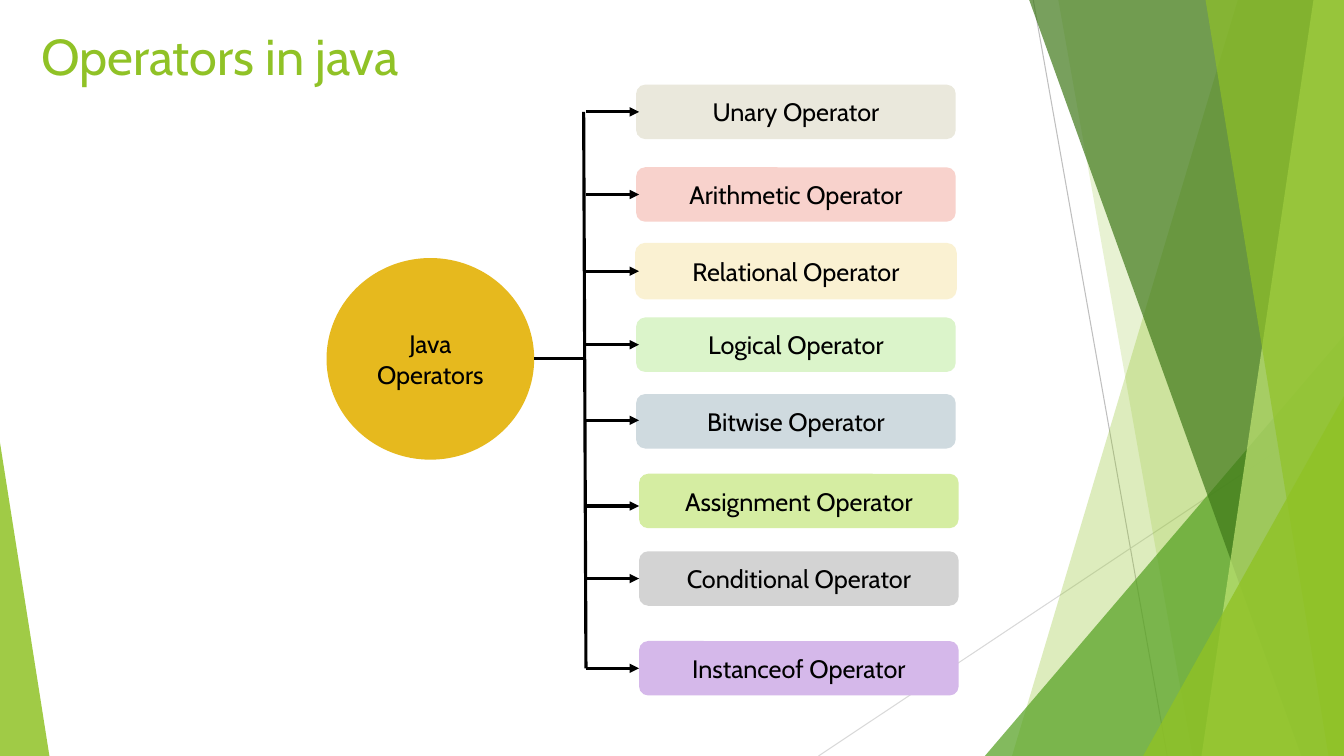
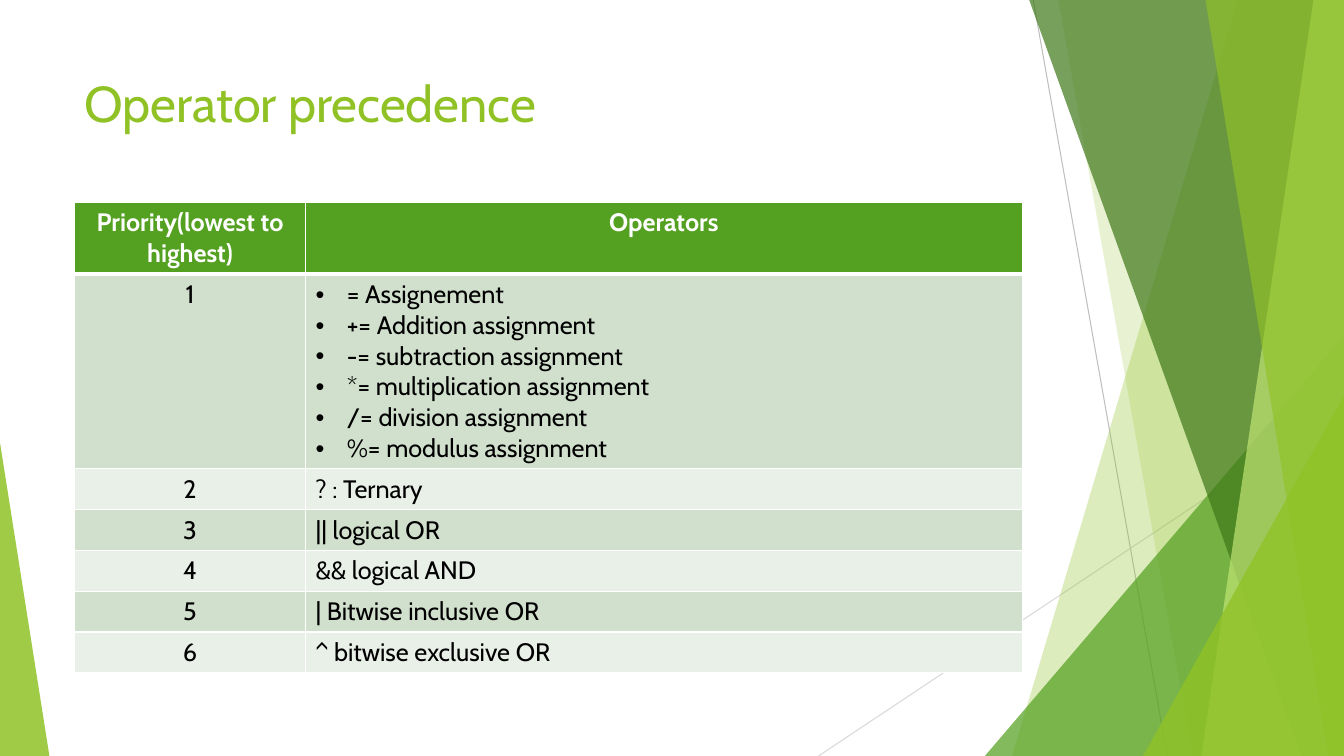
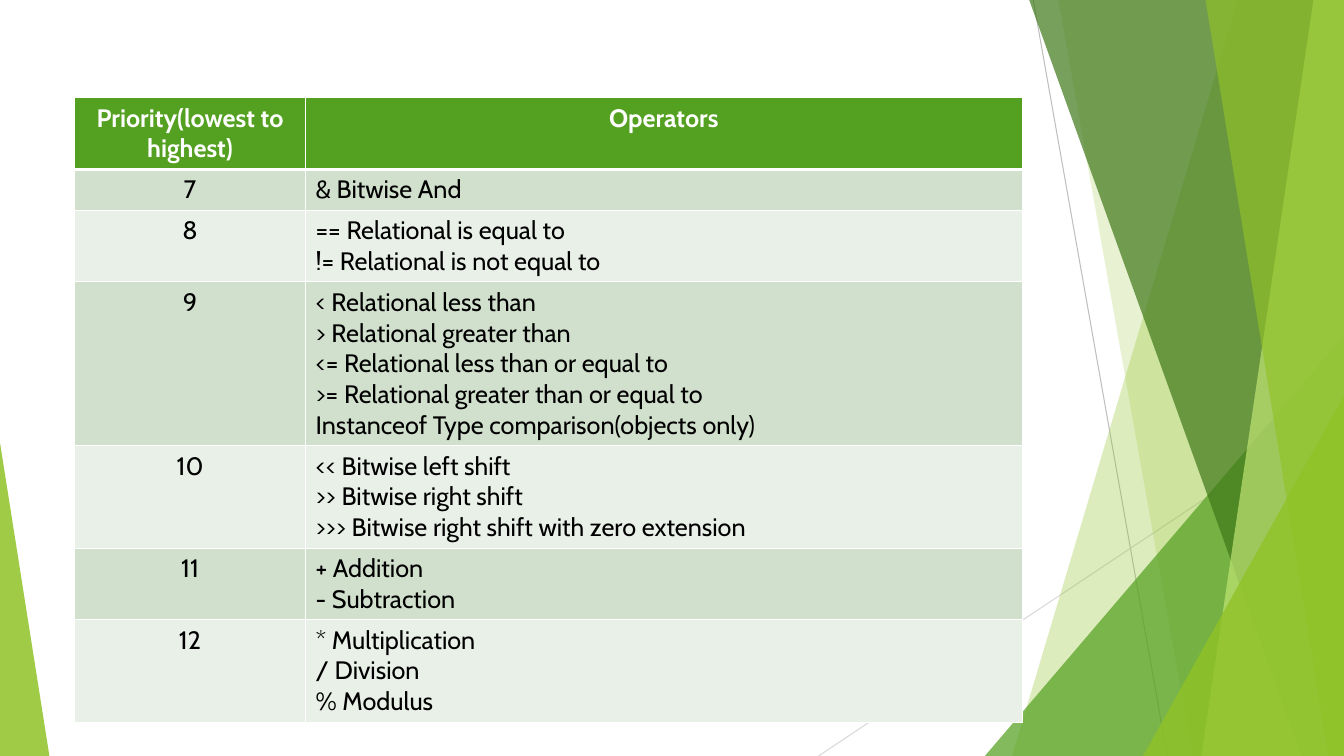
import lxml.etree
import pptx
import pptx.dml.color
import pptx.enum.shapes
import pptx.enum.text
import pptx.oxml.ns
import pptx.util

SHAPES = pptx.enum.shapes.MSO_SHAPE
CENTER = pptx.enum.text.PP_ALIGN.CENTER
RGB = pptx.dml.color.RGBColor.from_string
Pt = pptx.util.Pt
qn = pptx.oxml.ns.qn
SubElement = lxml.etree.SubElement

FONT = "Cabin"
COLORS = {
    "lime": "90C226", "green": "54A021", "forest": "3F7819", "pale lime": "C0E474",
    "grey line": "BFBFBF", "light line": "D9D9D9", "black": "000000", "white": "FFFFFF",
    "gold": "E6B91E", "sand": "EAE8DC", "rose": "F8D2CC", "cream": "FAF1D2",
    "mint": "DBF4CA", "mist": "CFDADF", "leaf": "D5EDA2", "silver": "D3D3D3",
    "lilac": "D5B8EA", "odd row": "D1DFCD", "even row": "E9F0E8",
}

deck = pptx.Presentation()
deck.slide_width = pptx.util.Inches(13.333)
deck.slide_height = pptx.util.Inches(7.5)
blank = deck.slide_layouts[6]
for placeholder in list(blank.placeholders):
    blank.shapes.element.remove(placeholder.element)
overview, low_priorities, high_priorities = [deck.slides.add_slide(blank) for _ in range(3)]


def place(*percents):
    sides = (deck.slide_width, deck.slide_height)
    return [int(sides[i % 2] * percent / 100) for i, percent in enumerate(percents)]


def draw_line(slide, ends, color, width, arrow=False):
    line = slide.shapes.add_connector(pptx.enum.shapes.MSO_CONNECTOR.STRAIGHT, *place(*ends))
    line.line.color.rgb = RGB(COLORS[color])
    line.line.width = Pt(width)
    properties = line.element.spPr
    if arrow:
        SubElement(properties.find(qn("a:ln")), qn("a:tailEnd"), type="triangle")
    SubElement(properties, qn("a:effectLst"))
    return line


backdrop = [
    draw_line(overview, (76.88, 0, 86.85, 100), "grey line", 0.75),
    draw_line(overview, (100, 53.73, 60.9, 100), "light line", 0.75),
]
facets = [
    ("band", (92.1, 75.3), "lime", 30),
    ("band", (78.75, 88.73), "lime", 20),
    ("triangle", (73.28, 44.4, 100, 1), "green", 72),
    ("band", (76.58, 96.83), "forest", 70),
    ("band", (97.73, 89.4), "pale lime", 70),
    ("band", (89.7, 98.85), "lime", 65),
    ("triangle", (85.05, 52.4, 100, 1), "lime", 80),
    ("triangle", (0, 58.53, 3.68, 0), "lime", 85),
]
for outline, geometry, color, opacity in facets:
    if outline == "band":
        top_left, bottom_left = geometry
        builder = overview.shapes.build_freeform(*place(top_left, 0))
        corners = [(100, 0), (100, 100), (bottom_left, 100)]
        builder.add_line_segments([place(*corner) for corner in corners])
        facet = builder.convert_to_shape()
    else:
        left, top, right, apex = geometry
        facet = overview.shapes.add_shape(
            SHAPES.ISOSCELES_TRIANGLE, *place(left, top, right - left, 100 - top))
        facet.adjustments[0] = apex
    facet.shadow.inherit = False
    facet.fill.solid()
    facet.fill.fore_color.rgb = RGB(COLORS[color])
    facet.line.fill.background()
    tint = next(facet.element.iter(qn("a:srgbClr")))
    SubElement(tint, qn("a:alpha"), val=str(opacity * 1000))
    backdrop.append(facet)
for part in backdrop:
    blank.shapes.element.append(part.element)

titles = [
    (overview, 2.33, 2.67, "Operators in java"),
    (low_priorities, 5.55, 8.93, "Operator precedence"),
]
for slide, left, top, wording in titles:
    title = slide.shapes.add_textbox(*place(left, top, 70.5, 19.2)).text_frame
    title.word_wrap = True
    title.text = wording
    font = title.paragraphs[0].font
    font.name, font.size, font.color.rgb = FONT, Pt(36), RGB(COLORS["lime"])

BOX_WIDTH, BOX_HEIGHT = 23.78, 7.2
TRUNK, ARROW_TIP = 43.6, 47.55
operators = [
    ("Unary Operator", "sand", 47.33, 11.2, 14.8),
    ("Arithmetic Operator", "rose", 47.33, 22.13, 25.73),
    ("Relational Operator", "cream", 47.33, 32.27, 35.87),
    ("Logical Operator", "mint", 47.33, 42, 45.6),
    ("Bitwise Operator", "mist", 47.33, 52.13, 55.6),
    ("Assignment Operator", "leaf", 47.55, 62.67, 66.93),
    ("Conditional Operator", "silver", 47.55, 72.93, 76.53),
    ("Instanceof Operator", "lilac", 47.55, 84.8, 88.4),
]
nodes = [("Java Operators", "gold", SHAPES.OVAL, (24.3, 34.13, 15.45, 26.67))]
for label, color, left, top, _ in operators:
    nodes.append((label, color, SHAPES.ROUNDED_RECTANGLE, (left, top, BOX_WIDTH, BOX_HEIGHT)))
for label, color, outline, bounds in nodes:
    node = overview.shapes.add_shape(outline, *place(*bounds))
    node.shadow.inherit = False
    node.fill.solid()
    node.fill.fore_color.rgb = RGB(COLORS[color])
    if color == "cream":
        node.line.color.rgb = RGB(COLORS[color])
        node.line.width = Pt(1.5)
    else:
        node.line.fill.background()
    node.text_frame.word_wrap = True
    node.text_frame.vertical_anchor = pptx.enum.text.MSO_ANCHOR.MIDDLE
    node.text_frame.text = label
    paragraph = node.text_frame.paragraphs[0]
    paragraph.alignment = CENTER
    font = paragraph.font
    font.name, font.size, font.color.rgb = FONT, Pt(18), RGB(COLORS["black"])

draw_line(overview, (39.75, 47.47, TRUNK, 47.47), "black", 2.25)
draw_line(overview, (43.43, 14.8, TRUNK, 88.4), "black", 2.25)
for *_, arrow_row in operators:
    draw_line(overview, (TRUNK, arrow_row, ARROW_TIP, arrow_row), "black", 2.25, arrow=True)

HEADER = ("Priority(lowest to highest)", ["Operators"])
BULLETED_PRIORITY = "1"
CELL_PADDING, LINE_HEIGHT = 1.33, 4.07
COLUMN_WIDTHS = (17.18, 53.33)
precedence = [
    (low_priorities, 26.8, [
        ("1", ["= Assignement", "+= Addition assignment", "-= subtraction assignment",
               "*= multiplication assignment", "/= division assignment",
               "%= modulus assignment"]),
        ("2", ["? : Ternary"]),
        ("3", ["|| logical OR"]),
        ("4", ["&& logical AND"]),
        ("5", ["| Bitwise inclusive OR"]),
        ("6", ["^ bitwise exclusive OR"]),
    ]),
    (high_priorities, 12.93, [
        ("7", ["& Bitwise And"]),
        ("8", ["== Relational is equal to", "!= Relational is not equal to"]),
        ("9", ["< Relational less than", "> Relational greater than",
               "<= Relational less than or equal to",
               ">= Relational greater than or equal to",
               "Instanceof Type comparison(objects only)"]),
        ("10", ["<< Bitwise left shift", ">> Bitwise right shift",
                ">>> Bitwise right shift with zero extension"]),
        ("11", ["+ Addition", "- Subtraction"]),
        ("12", ["* Multiplication", "/ Division", "% Modulus"]),
    ]),
]
for slide, top, levels in precedence:
    rows = [HEADER] + levels
    heights = [CELL_PADDING + LINE_HEIGHT * len(lines) for _, lines in rows]
    heights[0] += LINE_HEIGHT
    table = slide.shapes.add_table(
        len(rows), 2, *place(5.55, top, sum(COLUMN_WIDTHS), sum(heights))).table
    table.horz_banding = False
    for column, width in zip(table.columns, COLUMN_WIDTHS):
        column.width = place(width)[0]
    for row_index, (priority, lines) in enumerate(rows):
        is_header = row_index == 0
        table.rows[row_index].height = place(0, heights[row_index])[1]
        fill = "green" if is_header else "odd row" if row_index % 2 else "even row"
        for column_index, wording in enumerate((priority, "\n".join(lines))):
            cell = table.cell(row_index, column_index)
            cell.text = wording
            for side in "LRTB":
                heavy = (row_index, side) in ((0, "B"), (1, "T"))
                border = SubElement(cell._tc.get_or_add_tcPr(), qn(f"a:ln{side}"),
                                    w=str(Pt(3 if heavy else 1)))
                stroke = SubElement(border, qn("a:solidFill"))
                SubElement(stroke, qn("a:srgbClr"), val=COLORS["white"])
            cell.fill.solid()
            cell.fill.fore_color.rgb = RGB(COLORS[fill])
            for paragraph in cell.text_frame.paragraphs:
                if is_header or column_index == 0:
                    paragraph.alignment = CENTER
                elif priority == BULLETED_PRIORITY:
                    bullet = paragraph._p.get_or_add_pPr()
                    indent = pptx.util.Inches(0.31)
                    bullet.set("marL", str(indent))
                    bullet.set("indent", str(-indent))
                    SubElement(bullet, qn("a:buFont"), typeface="Arial")
                    SubElement(bullet, qn("a:buChar"), char="•")
                font = paragraph.font
                font.name, font.size, font.bold = FONT, Pt(18), is_header
                font.color.rgb = RGB(COLORS["white" if is_header else "black"])

deck.save("out.pptx")
